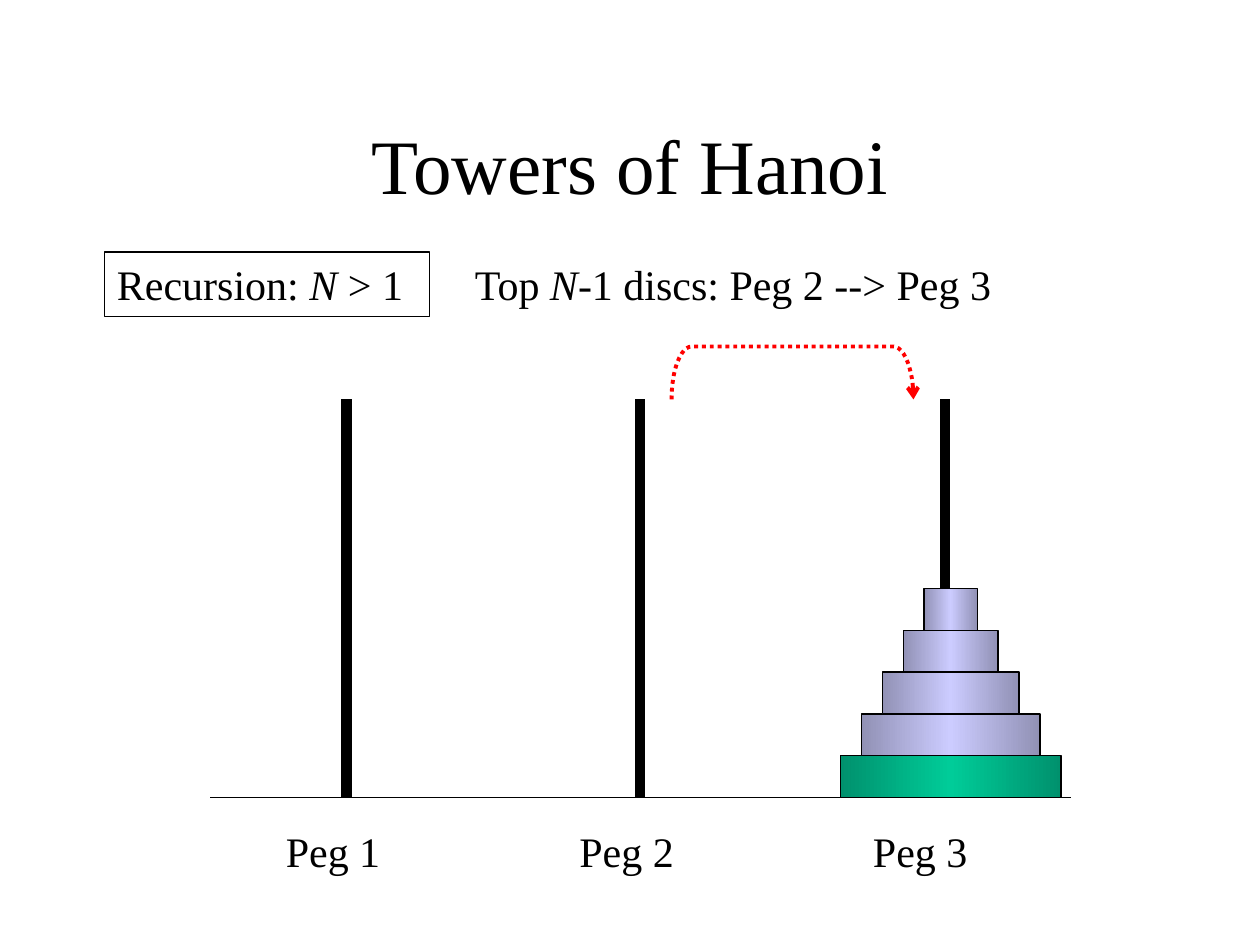
from dataclasses import dataclass

from lxml.etree import SubElement
from pptx import Presentation
from pptx.dml.color import RGBColor
from pptx.enum.dml import MSO_LINE
from pptx.enum.shapes import MSO_CONNECTOR, MSO_SHAPE
from pptx.enum.text import MSO_ANCHOR, PP_ALIGN
from pptx.oxml import parse_xml
from pptx.oxml.ns import nsdecls, qn
from pptx.util import Inches, Pt


@dataclass(frozen=True)
class Theme:
    """Colours, font and sizes of the slide."""
    ink: str = "000000"
    move: str = "FF0000"
    disc: str = "CCCCFF"
    base: str = "00CC99"
    shade: int = 46000
    font: str = "Times New Roman"
    head: int = 44
    body: int = 24
    thin: float = 0.75
    dots: float = 2.25
    rod: float = 6


THEME = Theme()


def color(text):
    """Turn a hex string into a colour."""
    return RGBColor.from_string(text)


def stroke(line, tint, width):
    """Set the colour and width of a line."""
    line.color.rgb = color(tint)
    line.width = Pt(width)


def write(slide, box, parts, size=THEME.body):
    """Place a text box; each part is a text and its italic flag."""
    shape = slide.shapes.add_textbox(*map(Inches, box))
    frame = shape.text_frame
    frame.word_wrap = True
    for text, slant in parts:
        run = frame.paragraphs[0].add_run()
        run.text = text
        font = run.font
        font.name, font.size, font.italic = THEME.font, Pt(size), slant
        font.color.rgb = color(THEME.ink)
    return shape


def draw(slide, start, end, width):
    """Draw a straight black line."""
    points = map(Inches, (*start, *end))
    line = slide.shapes.add_connector(MSO_CONNECTOR.STRAIGHT, *points)
    stroke(line.line, THEME.ink, width)
    SubElement(line._element.spPr, qn("a:effectLst"))


def title(slide, box):
    """Place the centred title."""
    frame = write(slide, box, [("Towers of Hanoi", False)], THEME.head).text_frame
    frame.vertical_anchor = MSO_ANCHOR.MIDDLE
    frame.paragraphs[0].alignment = PP_ALIGN.CENTER


def caption(slide, box):
    """Place the framed case and the step beside it."""
    left, top, width, height = box
    case = write(slide, (left, top, 2.58, height),
                 [("Recursion: ", False), ("N ", True), ("> 1", False)])
    stroke(case.line, THEME.ink, THEME.thin)
    write(slide, (left + width - 4.33, top, 4.33, height),
          [("Top ", False), ("N", True), ("-1 discs: Peg 2 --> Peg 3", False)])


def pegs(slide, box):
    """Draw the floor, the three rods and their labels."""
    left, top, width, height = box
    floor = top + height
    for index, x in enumerate((2.75, 5.08, 7.5)):
        draw(slide, (x, top), (x, floor), THEME.rod)
        spot = (left + 0.5 + index * 2.33, floor + 0.17, 1.08, 0.5)
        write(slide, spot, [(f"Peg {index + 1}", False)])
    draw(slide, (left, floor), (left + width, floor), THEME.thin)


def blend(shape, tint):
    """Fill a shape with a tint that darkens to both sides."""
    dark = f'<a:srgbClr val="{tint}"><a:shade val="{THEME.shade}"/></a:srgbClr>'
    light = f'<a:srgbClr val="{tint}"/>'
    stops = "".join(f'<a:gs pos="{pos}">{tone}</a:gs>' for pos, tone in
                    ((0, dark), (50000, light), (100000, dark)))
    fill = parse_xml(f'<a:gradFill {nsdecls("a")} rotWithShape="1">'
                     f'<a:gsLst>{stops}</a:gsLst><a:lin ang="0" scaled="1"/></a:gradFill>')
    shape._element.spPr.find(qn("a:prstGeom")).addnext(fill)


def tower(slide, box, count=5):
    """Stack the discs from the widest up."""
    left, top, width, height = box
    step = height / count
    for index in range(count):
        inset = index * step / 2
        place = (left + inset, top + height - (index + 1) * step,
                 width - 2 * inset, step)
        disc = slide.shapes.add_shape(MSO_SHAPE.RECTANGLE, *map(Inches, place))
        disc.shadow.inherit = False
        blend(disc, THEME.disc if index else THEME.base)
        stroke(disc.line, THEME.ink, THEME.thin)


def move(slide, box):
    """Draw the dotted bracket arrow, turned to span the box."""
    left, top, width, height = box
    shift = (width - height) / 2
    place = (left + shift, top - shift, height, width)
    arc = slide.shapes.add_shape(MSO_SHAPE.RIGHT_BRACKET, *map(Inches, place))
    arc.rotation = 270
    arc.adjustments[0] = 0.38
    arc.shadow.inherit = False
    arc.fill.background()
    stroke(arc.line, THEME.move, THEME.dots)
    arc.line.dash_style = MSO_LINE.ROUND_DOT
    SubElement(arc.line._get_or_add_ln(), qn("a:tailEnd")).set("type", "arrow")


def main():
    """Build and save the slide."""
    deck = Presentation()
    deck.slide_width, deck.slide_height = Inches(10), Inches(7.5)
    slide = deck.slides.add_slide(deck.slide_layouts[6])
    title(slide, (0.75, 0.67, 8.5, 1.25))
    caption(slide, (0.83, 2, 7.17, 0.51))
    pegs(slide, (1.67, 3.17, 6.83, 3.16))
    move(slide, (5.33, 2.75, 1.92, 0.42))
    tower(slide, (6.67, 4.67, 1.75, 1.66))
    deck.save("out.pptx")


if __name__ == "__main__":
    main()
